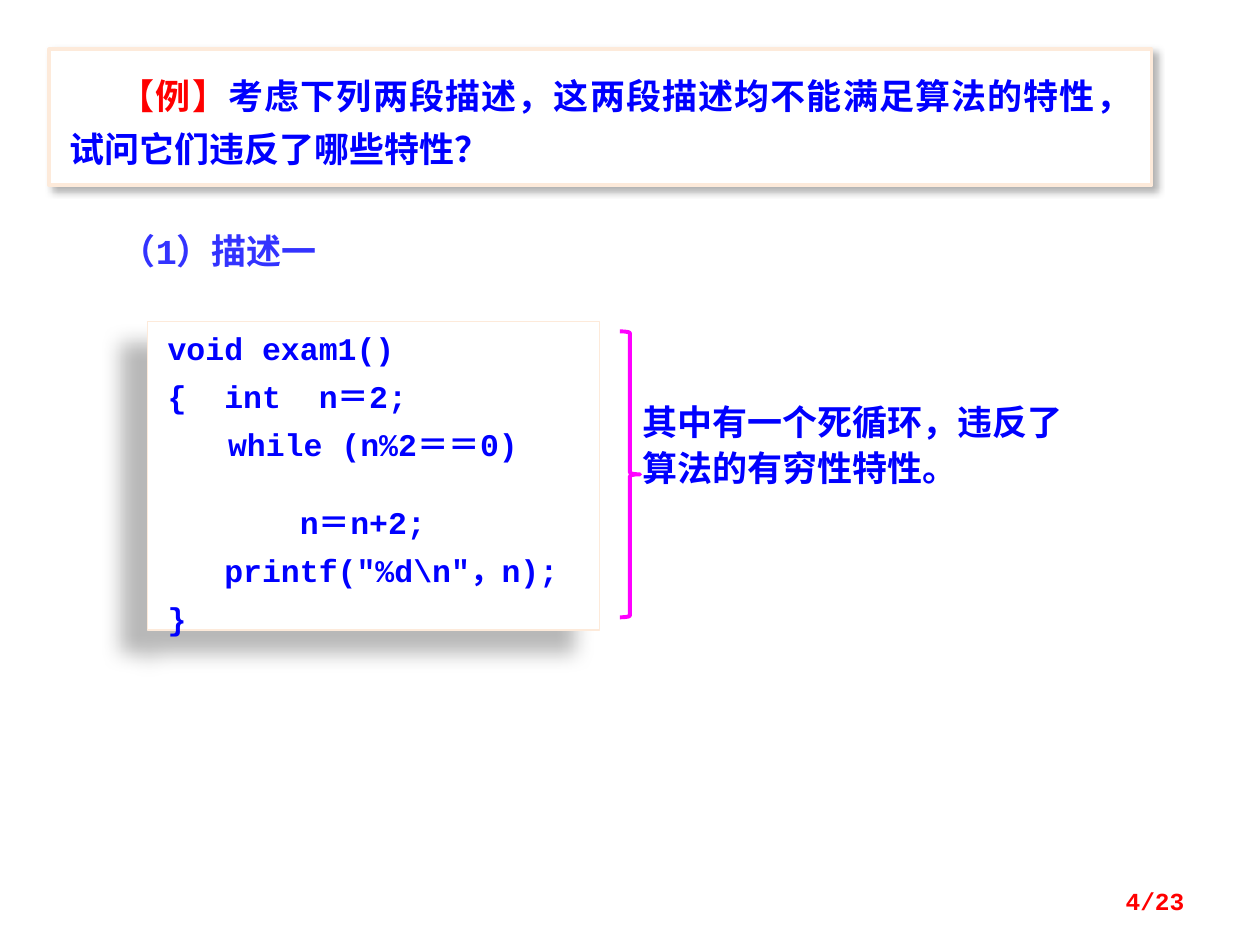
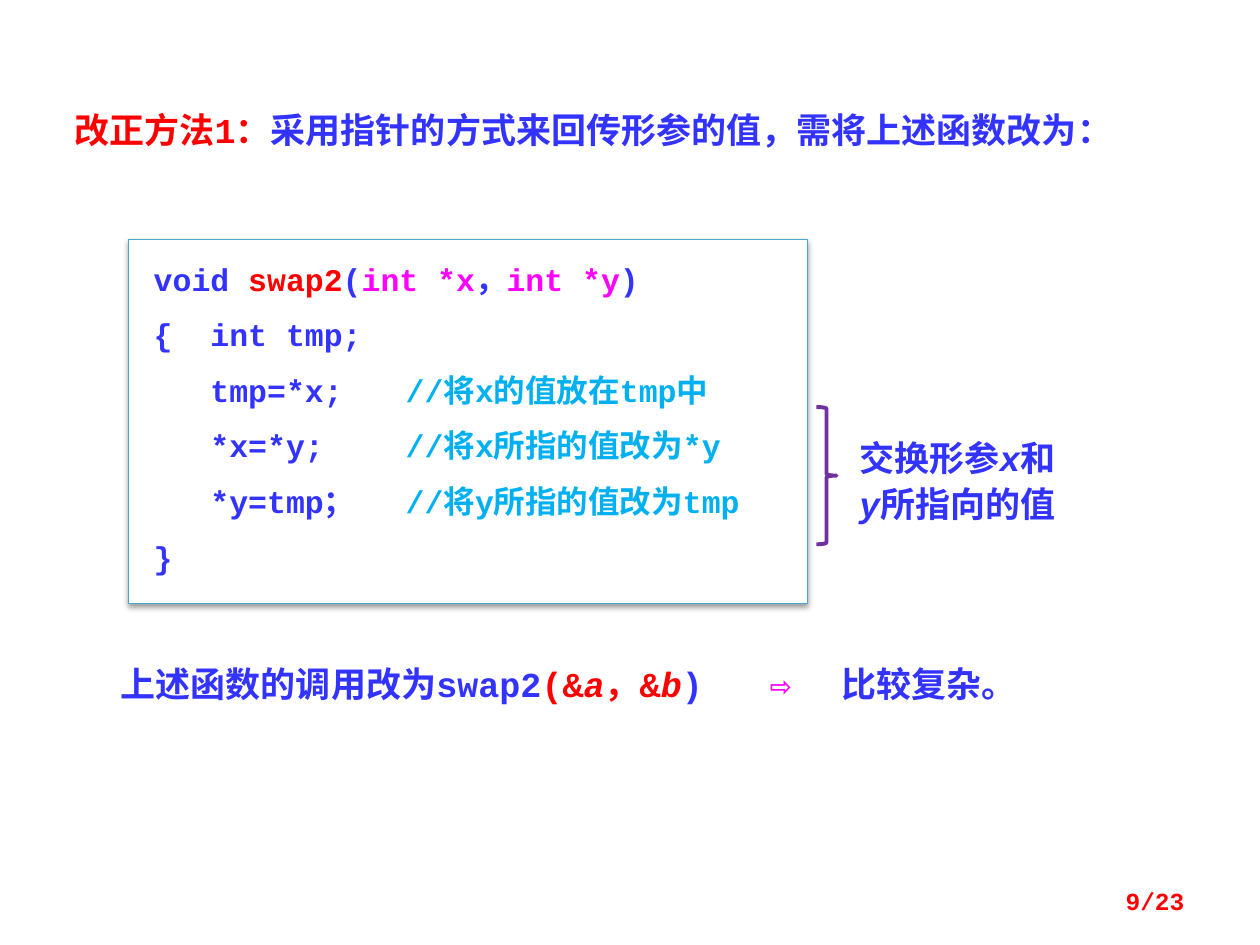
import pptx
import pptx.util
import pptx.dml.color
import pptx.enum.shapes
import pptx.enum.text
import pptx.oxml.ns
import lxml.etree

Inches = pptx.util.Inches
Pt = pptx.util.Pt
RGBColor = pptx.dml.color.RGBColor
SHAPE = pptx.enum.shapes.MSO_SHAPE
ALIGN = pptx.enum.text.PP_ALIGN
ANCHOR = pptx.enum.text.MSO_ANCHOR
qn = pptx.oxml.ns.qn

WHITE = RGBColor(0xFF, 0xFF, 0xFF)
RED = RGBColor(0xFF, 0x00, 0x00)
BLUE = RGBColor(0x00, 0x00, 0xFF)
INDIGO = RGBColor(0x33, 0x33, 0xFF)
MAGENTA = RGBColor(0xFF, 0x00, 0xFF)
SKY = RGBColor(0x00, 0xB0, 0xF0)
TEAL = RGBColor(0x46, 0xAA, 0xC5)
PURPLE = RGBColor(0x70, 0x30, 0xA0)
PEACH = RGBColor(0xFD, 0xEA, 0xDA)


def write(sp, paragraphs, size=20, font="Courier New", spacing=Pt(26.3), before=0,
          align=ALIGN.LEFT, anchor=ANCHOR.TOP, inset=(0.1, 0.05)):
    tf = sp.text_frame
    x, y = (Inches(v) for v in inset)
    frame = {"word_wrap": True, "auto_size": pptx.enum.text.MSO_AUTO_SIZE.NONE,
             "vertical_anchor": anchor, "margin_left": x, "margin_right": x,
             "margin_top": y, "margin_bottom": y}
    for name, value in frame.items():
        setattr(tf, name, value)
    for i, (stops, runs) in enumerate(paragraphs):
        p = tf.add_paragraph() if i else tf.paragraphs[0]
        layout = {"alignment": align, "line_spacing": spacing,
                  "space_before": Pt(before if i else 0)}
        for name, value in layout.items():
            setattr(p, name, value)
        if stops:
            tabs = lxml.etree.SubElement(p._p.get_or_add_pPr(), qn("a:tabLst"))
            for stop in stops:
                lxml.etree.SubElement(tabs, qn("a:tab"), pos=str(Inches(stop)), algn="l")
        for text, color, *italic in runs:
            r = p.add_run()
            r.text = text
            style = {"name": font, "size": Pt(size), "bold": True, "italic": bool(italic)}
            for name, value in style.items():
                setattr(r.font, name, value)
            r.font.color.rgb = color
            lxml.etree.SubElement(r._r.get_or_add_rPr(), qn("a:ea"), typeface=font)


def frame_box(sp, color, width, alpha, blur, dist, angle):
    sp.fill.solid()
    sp.fill.fore_color.rgb = WHITE
    sp.line.color.rgb = color
    sp.line.width = Pt(width)
    sp.shadow.inherit = False
    effects = sp._element.spPr.find(qn("a:effectLst"))
    shadow = lxml.etree.SubElement(effects, qn("a:outerShdw"), blurRad=str(Pt(blur)),
                                   dist=str(Pt(dist)), dir=str(angle * 60000),
                                   algn="ctr", rotWithShape="0")
    tint = lxml.etree.SubElement(shadow, qn("a:srgbClr"), val="000000")
    lxml.etree.SubElement(tint, qn("a:alpha"), val=str(alpha * 1000))


prs = pptx.Presentation()
prs.slide_width = Inches(10)
prs.slide_height = Inches(7.5)

exam_code = [
    ([], [("void exam1()", BLUE)]),
    ([0.45, 1.2], [("{\tint\tn＝2;", BLUE)]),
    ([0.48], [("\twhile (n%2＝＝0)", BLUE)]),
    ([1.05], [("\tn＝n+2;", BLUE)]),
    ([0.45], [("\tprintf(\"%d\\n\"，n);", BLUE)]),
    ([], [("}", BLUE)]),
]
swap_code = [
    ([], [("void ", INDIGO), ("swap2", RED), ("(", INDIGO), ("int *x", MAGENTA),
          ("，", INDIGO), ("int *y", MAGENTA), (")", INDIGO)]),
    ([0.45], [("{\tint tmp;", INDIGO)]),
    ([0.45, 2], [("\ttmp=*x;\t", INDIGO), ("//将x的值放在tmp中", SKY)]),
    ([0.45, 2], [("\t*x=*y;\t", INDIGO), ("//将x所指的值改为*y", SKY)]),
    ([0.45, 2], [("\t*y=tmp；\t", INDIGO), ("//将y所指的值改为tmp", SKY)]),
    ([], [("}", INDIGO)]),
]

pages = [
    {
        "number": "4/23",
        "title": (0.39, 0.39, 8.75, 1.08),
        "title_runs": [("【例】", RED),
                       ("考虑下列两段描述，这两段描述均不能满足算法的特性，试问它们违反了哪些特性？", BLUE)],
        "title_format": {"font": "Calibri", "spacing": Pt(30), "align": ALIGN.JUSTIFY,
                         "inset": (0.16, 0.12)},
        "code": (1.17, 2.55, 3.59, 2.45),
        "code_lines": exam_code,
        "code_format": {"spacing": 0.8, "inset": (0.16, 0.12)},
        "code_frame": (PEACH, 0.75, 28, 11.8, 19.7, 141),
        "brace": (4.92, 2.63, 0.16, 2.27),
        "brace_color": MAGENTA,
        "texts": [
            ((5, 3.1, 3.67, 0.82), [], [("其中有一个死循环，违反了算法的有穷性特性。", BLUE)]),
            ((0.86, 1.74, 2.81, 0.45), [], [("（1）描述一", INDIGO)]),
        ],
    },
    {
        "number": "9/23",
        "title": (0.49, 0.7, 8.94, 0.55),
        "title_runs": [("改正方法1：", RED),
                       ("采用指针的方式来回传形参的值，需将上述函数改为：", INDIGO)],
        "title_format": {"spacing": Pt(32)},
        "code": (1.02, 1.9, 5.39, 2.89),
        "code_lines": swap_code,
        "code_format": {"spacing": 1.0, "inset": (0.2, 0.16)},
        "code_frame": (TEAL, 0.75, 38, 3.1, 1.6, 90),
        "brace": (6.48, 3.23, 0.16, 1.09),
        "brace_color": PURPLE,
        "texts": [
            ((0.86, 5.18, 8.36, 0.45), [5.15, 5.72],
             [("上述函数的调用改为swap2", INDIGO), ("(&", RED), ("a", RED, True), ("，&", RED),
              ("b", RED, True), (")\t", INDIGO), ("⇨\t", MAGENTA), ("比较复杂。", INDIGO)]),
            ((6.72, 3.38, 1.8, 0.82), [],
             [("交换形参", INDIGO), ("x", INDIGO, True), ("和", INDIGO), ("y", INDIGO, True),
              ("所指向的值", INDIGO)]),
        ],
    },
]

for page in pages:
    s = prs.slides.add_slide(prs.slide_layouts[5])

    title = s.shapes.title
    title.left, title.top, title.width, title.height = (Inches(v) for v in page["title"])
    write(title, [([], page["title_runs"])], **page["title_format"])

    code = s.shapes.add_shape(SHAPE.RECTANGLE, *(Inches(v) for v in page["code"]))
    frame_box(code, *page["code_frame"])
    write(code, page["code_lines"], size=18, before=10.2, **page["code_format"])

    brace = s.shapes.add_shape(SHAPE.RIGHT_BRACE, *(Inches(v) for v in page["brace"]))
    brace.shadow.inherit = False
    brace.fill.background()
    brace.line.color.rgb = page["brace_color"]
    brace.line.width = Pt(2.25)

    for box, stops, runs in page["texts"]:
        sp = s.shapes.add_textbox(*(Inches(v) for v in box))
        write(sp, [(stops, runs)])

    number = s.shapes.add_textbox(Inches(7.17), Inches(6.95), Inches(2.33), Inches(0.4))
    write(number, [([], [(page["number"], RED)])], size=14, spacing=1.0,
          align=ALIGN.RIGHT, anchor=ANCHOR.MIDDLE)

example = prs.slides[0].shapes.title
frame_box(example, PEACH, 2, 30, 4.5, 2.6, 53)
example.text_frame.paragraphs[0]._p.get_or_add_pPr().set("indent", str(Inches(0.4)))

s = prs.slides[0]
n_line = s.shapes[1].text_frame.paragraphs[3]
n_line.space_before = Pt(27)

prs.save("out.pptx")
